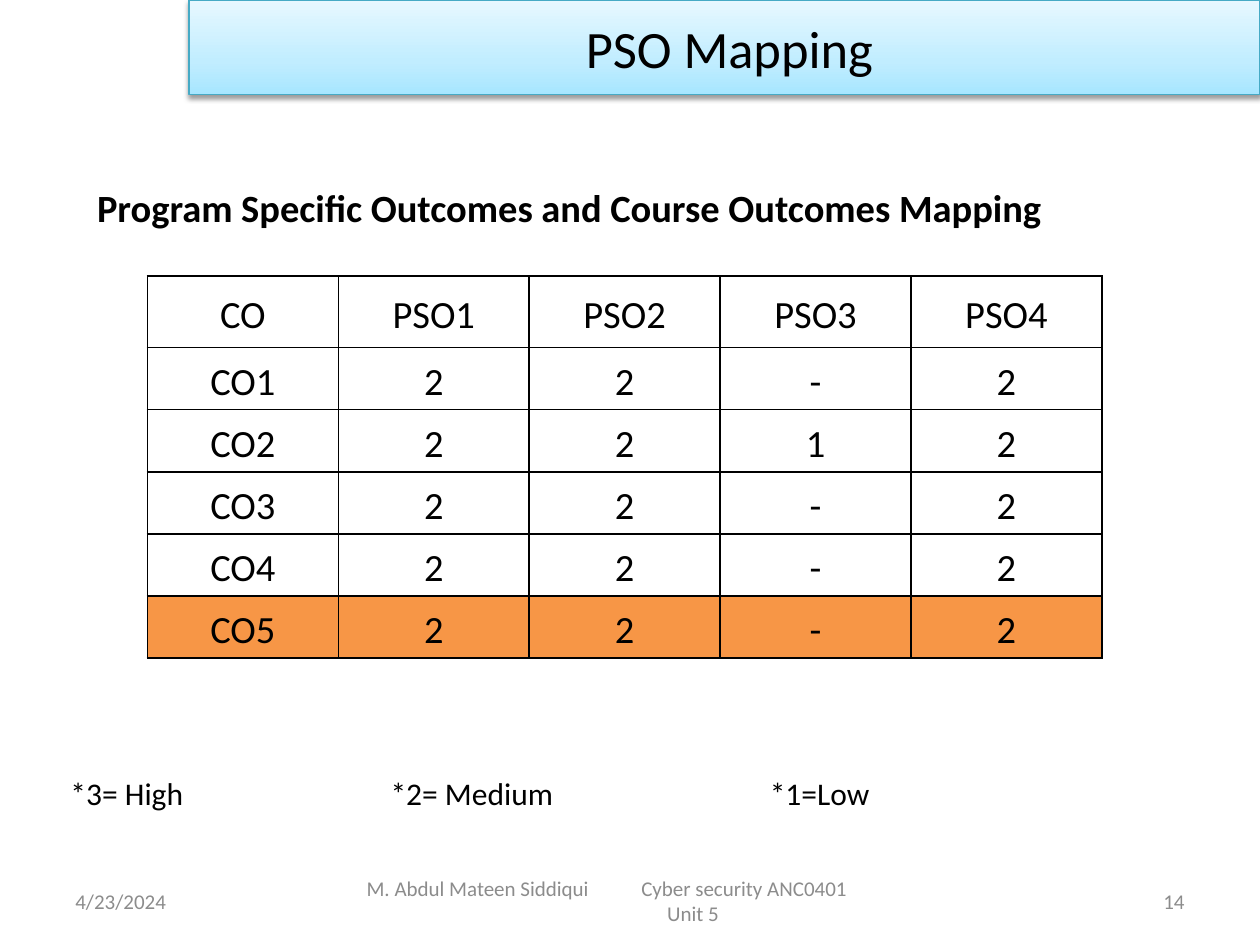
from lxml import etree
from pptx import Presentation
from pptx.dml.color import RGBColor
from pptx.enum.text import MSO_ANCHOR, PP_ALIGN
from pptx.oxml import parse_xml
from pptx.oxml.ns import qn
from pptx.util import Inches, Pt

LEFT, CENTER, RIGHT = PP_ALIGN.LEFT, PP_ALIGN.CENTER, PP_ALIGN.RIGHT
MIDDLE = MSO_ANCHOR.MIDDLE

BLACK = RGBColor(0x00, 0x00, 0x00)
WHITE = RGBColor(0xFF, 0xFF, 0xFF)
GREY = RGBColor(0x8C, 0x8C, 0x8C)
ORANGE = RGBColor(0xF7, 0x96, 0x46)
TEAL = RGBColor(0x46, 0xAA, 0xC5)
SKY = RGBColor(0xA7, 0xE6, 0xFF)
PALE_SKY = RGBColor(0xC1, 0xED, 0xFF)
ICE = RGBColor(0xE7, 0xF8, 0xFF)

DRAWING = 'xmlns:a="http://schemas.openxmlformats.org/drawingml/2006/main"'
BORDERS = ("a:lnL", "a:lnR", "a:lnT", "a:lnB")
TITLE_ONLY = 5


class OutcomeSlide:
    FONT = "Calibri"
    COLUMNS, ROWS = 40, 30

    def __init__(self, deck):
        self.column = deck.slide_width / self.COLUMNS
        self.row = deck.slide_height / self.ROWS
        self.slide = deck.slides.add_slide(deck.slide_layouts[TITLE_ONLY])

    def place(self, left, top, width, height):
        return (round(left * self.column), round(top * self.row),
                round(width * self.column), round(height * self.row))

    def style(self, paragraph, size, color=BLACK, align=LEFT, bold=False):
        paragraph.alignment = align
        font = paragraph.font
        font.name, font.size, font.bold = self.FONT, Pt(size), bold
        font.color.rgb = color

    def banner(self, text, area, stops):
        title = self.slide.shapes.title
        title.left, title.top, title.width, title.height = self.place(*area)
        title.text = text
        frame = title.text_frame
        frame.vertical_anchor = MIDDLE
        frame.margin_left = Inches(0.18)
        self.style(frame.paragraphs[0], 30, align=CENTER)
        gradient = "".join(
            f'<a:gs pos="{share * 1000}"><a:srgbClr val="{color}"/></a:gs>'
            for share, color in stops)
        properties = title._element.spPr
        properties.append(parse_xml(
            f'<a:gradFill {DRAWING} rotWithShape="1"><a:gsLst>{gradient}</a:gsLst>'
            '<a:lin ang="16200000" scaled="0"/></a:gradFill>'))
        title.line.color.rgb = TEAL
        title.line.width = Pt(0.75)
        properties.append(parse_xml(
            f'<a:effectLst {DRAWING}><a:outerShdw blurRad="{Pt(3.1)}" '
            f'dist="{Pt(1.6)}" dir="5400000" rotWithShape="0">'
            f'<a:srgbClr val="{BLACK}"><a:alpha val="38000"/></a:srgbClr>'
            '</a:outerShdw></a:effectLst>'))

    def text(self, lines, area, size, color=BLACK, aligns=(LEFT,), bold=False,
             insets=(0.1, 0.05, 0.1, 0.05), tabs=()):
        frame = self.slide.shapes.add_textbox(*self.place(*area)).text_frame
        frame.word_wrap = True
        frame.vertical_anchor = MIDDLE
        (frame.margin_left, frame.margin_top,
         frame.margin_right, frame.margin_bottom) = map(Inches, insets)
        frame.text = "\n".join(lines)
        for paragraph, align in zip(frame.paragraphs, aligns):
            if tabs:
                tab_list = etree.SubElement(
                    paragraph._p.get_or_add_pPr(), qn("a:tabLst"))
                for stop in tabs:
                    etree.SubElement(tab_list, qn("a:tab"),
                                     pos=str(Inches(stop)), algn="l")
            self.style(paragraph, size, color, align, bold)

    def cell(self, cell, text, fill):
        cell.text = text
        cell.vertical_anchor = MIDDLE
        cell.margin_left = cell.margin_right = Inches(0.07)
        cell.margin_top = cell.margin_bottom = 0
        paragraph = cell.text_frame.paragraphs[0]
        paragraph.line_spacing = 1.15
        self.style(paragraph, 22, align=CENTER)
        properties = cell._tc.get_or_add_tcPr()
        for border in BORDERS:
            line = etree.SubElement(properties, qn(border), w=str(Pt(1)))
            solid = etree.SubElement(line, qn("a:solidFill"))
            etree.SubElement(solid, qn("a:srgbClr"), val=str(BLACK))
        cell.fill.solid()
        cell.fill.fore_color.rgb = fill

    def table(self, records, left, top, column_width, row_heights, highlighted):
        area = self.place(left, top, column_width * len(records[0]), sum(row_heights))
        grid = self.slide.shapes.add_table(len(records), len(records[0]), *area).table
        grid.first_row = grid.horz_banding = False
        for column in grid.columns:
            column.width = round(column_width * self.column)
        for row, height, record in zip(grid.rows, row_heights, records):
            row.height = round(height * self.row)
            fill = ORANGE if record[0] == highlighted else WHITE
            for cell, value in zip(row.cells, record):
                self.cell(cell, value, fill)


def main():
    deck = Presentation()
    deck.slide_width, deck.slide_height = Inches(10), Inches(7.5)
    page = OutcomeSlide(deck)

    page.banner("PSO Mapping", (6, 0, 34, 3), [(0, SKY), (35, PALE_SKY), (100, ICE)])
    page.text(["Program Specific Outcomes and Course Outcomes Mapping"],
              (1.88, 5.64, 34.08, 1.68), 22, bold=True, insets=(0.3, 0.05, 0.1, 0))

    header = ["CO"] + [f"PSO{number}" for number in range(1, 5)]
    pso3_levels = ["-", "1", "-", "-", "-"]
    outcomes = [[f"CO{number}", "2", "2", level, "2"]
                for number, level in enumerate(pso3_levels, 1)]
    page.table([header] + outcomes, 4.68, 8.76, 6.06,
               [2.28] + [1.97] * len(outcomes), highlighted="CO5")

    page.text(["*3= High\t*2= Medium\t*1=Low"], (0, 24.36, 39.08, 1.6), 18,
              insets=(0.56, 0.05, 0.1, 0.05), tabs=(2.54, 5.55))

    footer_top, footer_height = 27.8, 1.6
    page.text(["4/23/2024"], (2, footer_top, 9.32, footer_height), 12, GREY)
    page.text(["M. Abdul Mateen Siddiqui\tCyber security ANC0401", "Unit 5"],
              (11, footer_top, 22, footer_height), 12, GREY, aligns=(LEFT, CENTER),
              insets=(0.16, 0.05, 0.16, 0.05), tabs=(2.18,))
    page.text(["14"], (28.68, footer_top, 9.32, footer_height), 12, GREY, aligns=(RIGHT,))

    deck.save("out.pptx")


if __name__ == "__main__":
    main()
